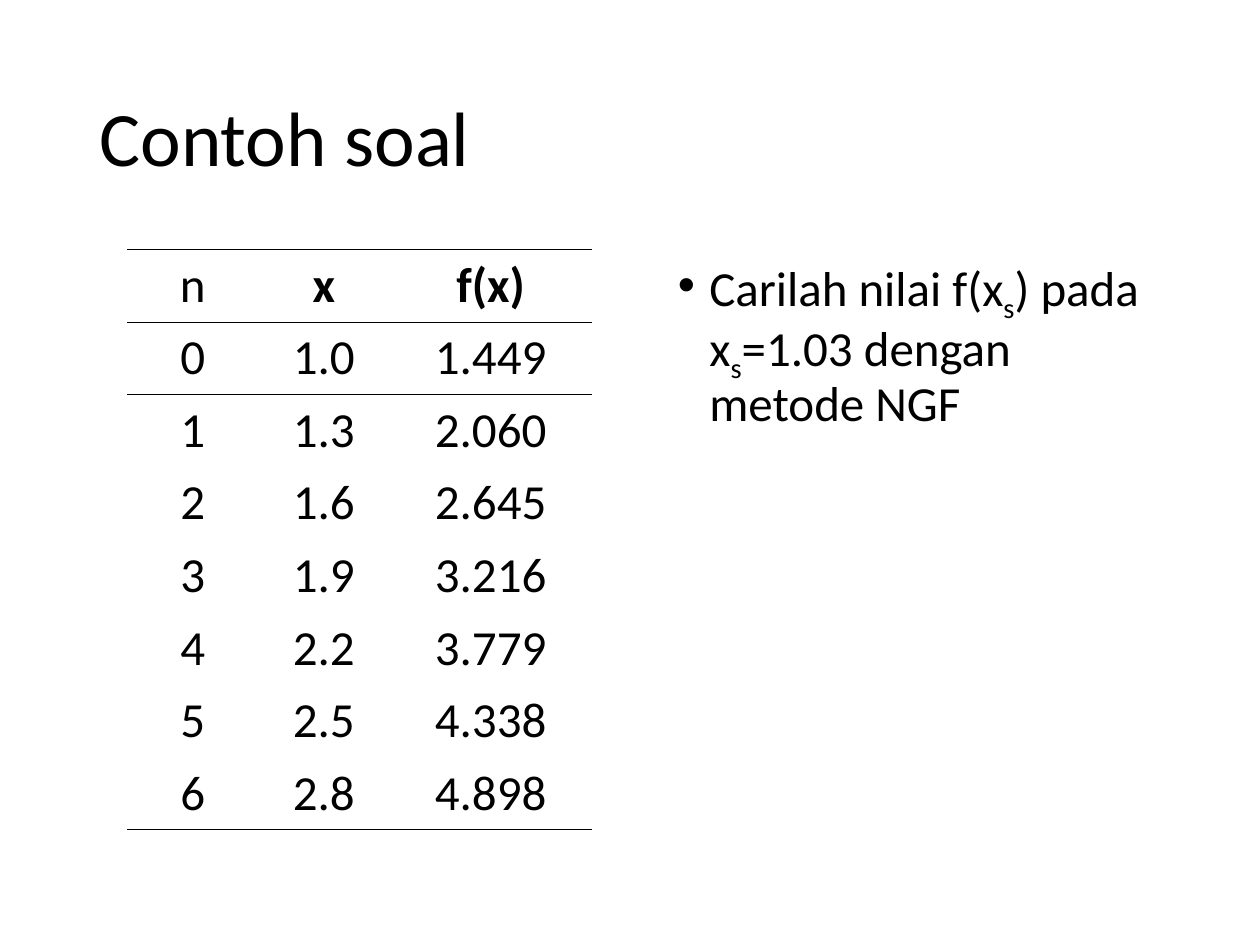
"""Build the worked-example slide with a value table and a question."""
import lxml.etree
import pptx
import pptx.dml.color
import pptx.enum.text
import pptx.oxml.ns
import pptx.util

Inches = pptx.util.Inches
Pt = pptx.util.Pt
qn = pptx.oxml.ns.qn

BLACK = pptx.dml.color.RGBColor(0, 0, 0)
LEFT = pptx.enum.text.PP_ALIGN.LEFT
CENTER = pptx.enum.text.PP_ALIGN.CENTER
NO_STYLE = "{2D5ABB26-0587-4C30-8999-92F81FD0307C}"

TITLE = "Contoh soal"
HEADER = ("n", "x", "f(x)")
VALUES = [
    ("0", "1.0", "1.449"),
    ("1", "1.3", "2.060"),
    ("2", "1.6", "2.645"),
    ("3", "1.9", "3.216"),
    ("4", "2.2", "3.779"),
    ("5", "2.5", "4.338"),
    ("6", "2.8", "4.898"),
]
QUESTION = [
    ("Carilah nilai f(x", False),
    ("s", True),
    (") pada x", False),
    ("s", True),
    ("=1.03 dengan metode NGF", False),
]

TITLE_BOX = (0.69, 0.4, 8.63, 1.45)
BODY_BOX = (5.28, 2, 4.03, 4.24)
TABLE_ORIGIN = (1.01, 1.98)
COLUMN_WIDTHS = (1.04, 1.04, 1.61)
ROW_HEIGHT = 4.53 / (len(VALUES) + 1)
RULE_WIDTH = Pt(0.45)
TITLE_FONT = {"name": "Calibri", "size": Pt(44), "bold": False}
TEXT_FONT = {"name": "Calibri", "size": Pt(28), "bold": False}


def format_font(font, values):
    for name, value in values.items():
        setattr(font, name, value)
    font.color.rgb = BLACK


def place(shape, box):
    for name, value in zip(("left", "top", "width", "height"), box):
        setattr(shape, name, Inches(value))
    shape.text_frame.auto_size = pptx.enum.text.MSO_AUTO_SIZE.NONE
    shape.text_frame.word_wrap = True


def draw_rules(cell, sides):
    properties = cell._tc.get_or_add_tcPr()
    for index, side in enumerate(sides):
        line = lxml.etree.Element(qn(f"a:ln{side}"), w=str(int(RULE_WIDTH)))
        fill = lxml.etree.SubElement(line, qn("a:solidFill"))
        lxml.etree.SubElement(fill, qn("a:srgbClr"), val=str(BLACK))
        properties.insert(index, line)


def add_title(slide):
    title = slide.shapes.title
    place(title, TITLE_BOX)
    title.text_frame.vertical_anchor = pptx.enum.text.MSO_ANCHOR.MIDDLE
    paragraph = title.text_frame.paragraphs[0]
    paragraph.alignment = LEFT
    paragraph.line_spacing = 0.9
    run = paragraph.add_run()
    run.text = TITLE
    format_font(run.font, TITLE_FONT)


def add_value_table(slide):
    rows = [HEADER, *VALUES]
    left, top = TABLE_ORIGIN
    table = slide.shapes.add_table(
        len(rows), len(HEADER), Inches(left), Inches(top),
        Inches(sum(COLUMN_WIDTHS)), Inches(ROW_HEIGHT * len(rows))).table
    table.first_row = False
    table.horz_banding = False
    table._tbl.tblPr.find(qn("a:tableStyleId")).text = NO_STYLE
    for column, width in zip(table.columns, COLUMN_WIDTHS):
        column.width = Inches(width)
    sides = {0: "TB", 1: "T", len(rows) - 1: "B"}
    for row_index, row in enumerate(rows):
        table.rows[row_index].height = Inches(ROW_HEIGHT)
        for column_index, text in enumerate(row):
            cell = table.cell(row_index, column_index)
            cell.fill.background()
            draw_rules(cell, sides.get(row_index, ""))
            paragraph = cell.text_frame.paragraphs[0]
            paragraph.alignment = CENTER
            run = paragraph.add_run()
            run.text = text
            bold = row_index == 0 and column_index > 0
            format_font(run.font, TEXT_FONT | {"bold": bold})


def add_question(slide):
    body = slide.placeholders[1]
    place(body, BODY_BOX)
    paragraph = body.text_frame.paragraphs[0]
    properties = paragraph._p.get_or_add_pPr()
    properties.set("marL", str(Inches(0.25)))
    properties.set("indent", str(Inches(-0.25)))
    color = lxml.etree.SubElement(properties, qn("a:buClr"))
    lxml.etree.SubElement(color, qn("a:srgbClr"), val=str(BLACK))
    lxml.etree.SubElement(properties, qn("a:buFont"), typeface="Arial")
    lxml.etree.SubElement(properties, qn("a:buChar"), char="•")
    paragraph.line_spacing = 0.9
    paragraph.space_before = Pt(0)
    for text, subscript in QUESTION:
        run = paragraph.add_run()
        run.text = text
        format_font(run.font, TEXT_FONT)
        if subscript:
            run._r.get_or_add_rPr().set("baseline", "-25000")


def main():
    presentation = pptx.Presentation()
    presentation.slide_width = Inches(10)
    presentation.slide_height = Inches(7.5)
    slide = presentation.slides.add_slide(presentation.slide_layouts[1])
    add_title(slide)
    add_value_table(slide)
    add_question(slide)
    presentation.save("out.pptx")


if __name__ == "__main__":
    main()
